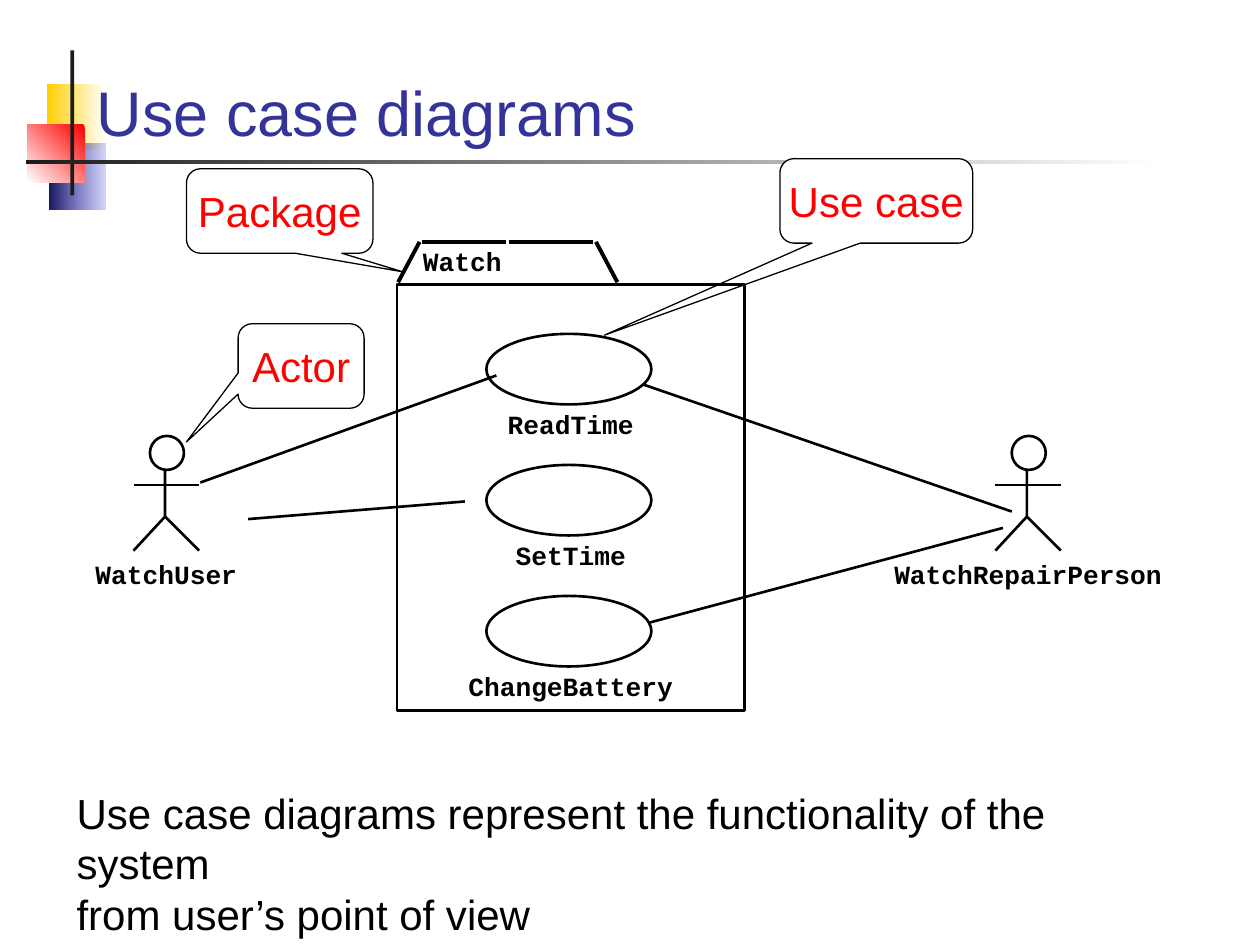
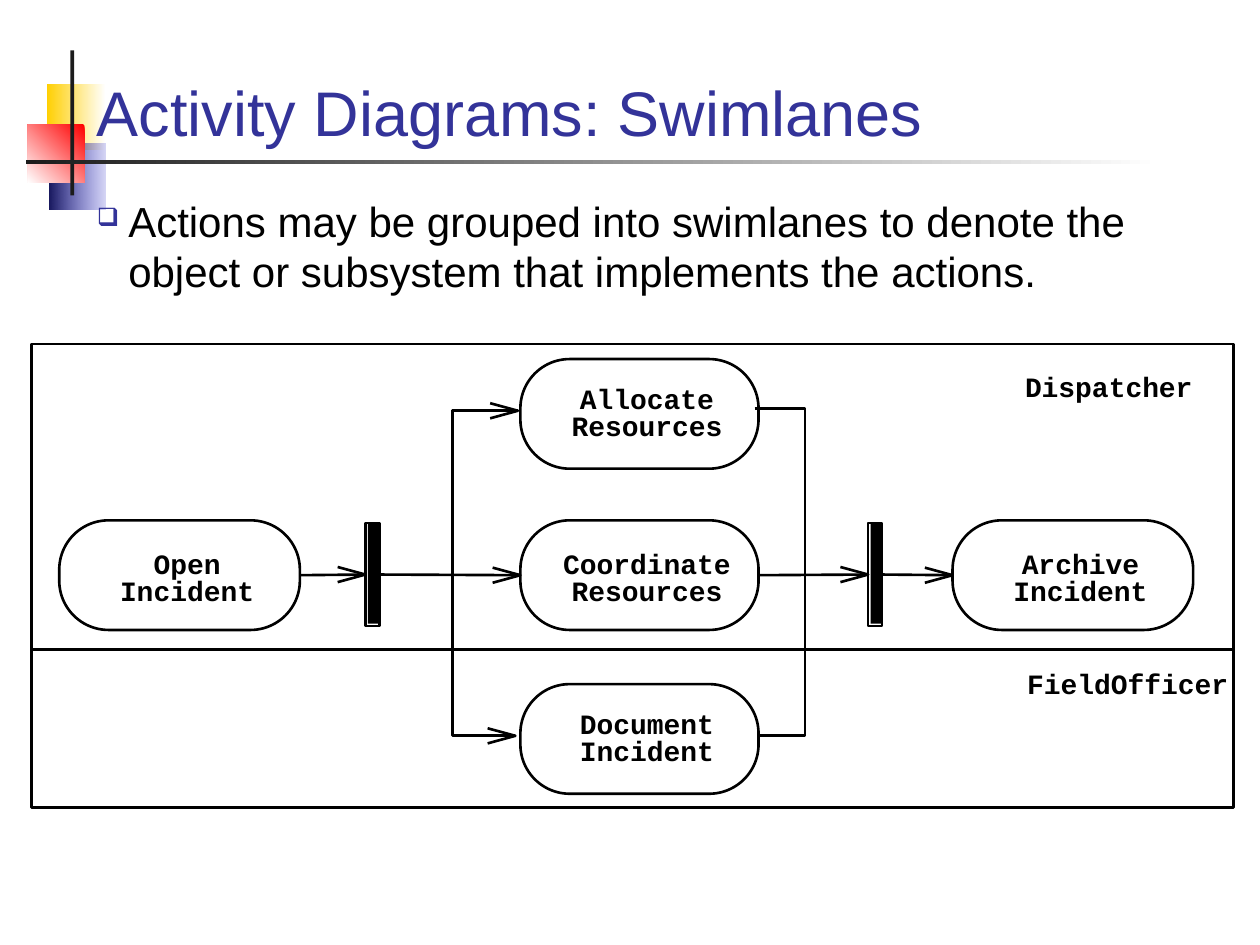
import pptx
import pptx.util
import pptx.dml.color
import pptx.enum.shapes
import pptx.enum.text
import pptx.oxml
import pptx.oxml.ns

Inches = pptx.util.Inches
Pt = pptx.util.Pt
RGBColor = pptx.dml.color.RGBColor
SHAPE = pptx.enum.shapes.MSO_SHAPE
ANCHOR = pptx.enum.text.MSO_ANCHOR
ALIGN = pptx.enum.text.PP_ALIGN
qn = pptx.oxml.ns.qn

BLACK = RGBColor(0x00, 0x00, 0x00)
WHITE = RGBColor(0xFF, 0xFF, 0xFF)
RED = RGBColor(0xFF, 0x00, 0x00)
YELLOW = RGBColor(0xFF, 0xCF, 0x01)
BLUE = RGBColor(0x33, 0x33, 0xCC)
NAVY = RGBColor(0x17, 0x17, 0x5E)
CHARCOAL = RGBColor(0x1C, 0x1C, 0x1C)
INDIGO = RGBColor(0x33, 0x33, 0x99)
SANS = "Arial"
MONO = "Courier New"


class Slides:
    def __init__(self):
        self.deck = pptx.Presentation()
        self.deck.slide_width = Inches(10)
        self.deck.slide_height = Inches(7.5)
        self.page = None

    def new_page(self, title):
        self.page = self.deck.slides.add_slide(self.deck.slide_layouts[6])
        self.gradient(0.37, 0.67, 0.47, 0.52, WHITE, YELLOW)
        blue_square = self.gradient(0.39, 1.14, 0.45, 0.52, BLUE, NAVY)
        start_color = next(blue_square._element.spPr.iter(qn("a:srgbClr")))
        start_color.append(self.element("alpha", val="20000"))
        self.gradient(0.22, 0.99, 0.45, 0.46, RED, WHITE, 225)
        self.shape(SHAPE.RECTANGLE, 0.56, 0.4, 0.03, 1.15, CHARCOAL, 0)
        self.gradient(0.21, 1.27, 9, 0.03, WHITE, CHARCOAL)
        self.text([title], 0.67, 0.28, 8.66, 0.95, 36, INDIGO, anchor=ANCHOR.BOTTOM)

    def element(self, tag, **attributes):
        node = pptx.oxml.parse_xml(
            f'<a:{tag} xmlns:a="http://schemas.openxmlformats.org/drawingml/2006/main"/>')
        for name, value in attributes.items():
            node.set(name, value)
        return node

    def stroke(self, item, weight):
        if weight:
            item.line.color.rgb = BLACK
            item.line.width = Pt(weight)
        else:
            item.line.fill.background()

    def shape(self, kind, left, top, width, height, fill=None, weight=1.5):
        box = self.page.shapes.add_shape(
            kind, Inches(left), Inches(top), Inches(width), Inches(height))
        box.shadow.inherit = False
        if fill is None:
            box.fill.background()
        else:
            box.fill.solid()
            box.fill.fore_color.rgb = fill
        self.stroke(box, weight)
        return box

    def gradient(self, left, top, width, height, start, end, angle=180):
        box = self.shape(SHAPE.RECTANGLE, left, top, width, height, weight=0)
        box.fill.gradient()
        box.fill.gradient_angle = angle
        for stop, color in zip(box.fill.gradient_stops, (start, end)):
            stop.color.rgb = color
        return box

    def add_span(self, para, words, size, color, font, bold=False):
        span = para.add_run()
        span.text = words
        span.font.size = Pt(size)
        span.font.name = font
        span.font.bold = bold
        span.font.color.rgb = color

    def text(self, lines, left, top, width, height, size, color=BLACK,
             wrap=True, anchor=ANCHOR.TOP):
        box = self.page.shapes.add_textbox(
            Inches(left), Inches(top), Inches(width), Inches(height))
        frame = box.text_frame
        frame.word_wrap = wrap
        frame.vertical_anchor = anchor
        for index, words in enumerate(lines):
            para = frame.add_paragraph() if index else frame.paragraphs[0]
            self.add_span(para, words, size, color, SANS)
        return box

    def bullet(self, words, left, top, width, height):
        box = self.text([words], left, top, width, height, 24)
        settings = box.text_frame.paragraphs[0]._p.get_or_add_pPr()
        settings.set("marL", str(Inches(0.25)))
        settings.set("indent", str(Inches(-0.25)))
        mark_color = self.element("buClr")
        mark_color.append(self.element("srgbClr", val=str(INDIGO)))
        settings.append(mark_color)
        settings.append(self.element("buSzPct", val="60000"))
        settings.append(self.element("buChar", char="❑"))

    def label(self, words, center, top, size):
        width = len(words) * size * 0.6 / 72
        box = self.page.shapes.add_textbox(
            Inches(center - width / 2), Inches(top), Inches(width), Inches(size / 60))
        frame = box.text_frame
        frame.word_wrap = False
        frame.margin_left = frame.margin_right = 0
        frame.margin_top = frame.margin_bottom = 0
        para = frame.paragraphs[0]
        para.alignment = ALIGN.CENTER
        self.add_span(para, words, size, BLACK, MONO, True)

    def line(self, start, end, weight=1.5):
        link = self.page.shapes.add_connector(
            pptx.enum.shapes.MSO_CONNECTOR.STRAIGHT,
            *(Inches(value) for value in start + end))
        self.stroke(link, weight)
        link._element.spPr.append(self.element("effectLst"))
        return link

    def polyline(self, *points):
        first, *rest = [(Inches(x), Inches(y)) for x, y in points]
        builder = self.page.shapes.build_freeform(*first)
        builder.add_line_segments(rest, close=False)
        outline = builder.convert_to_shape()
        outline.shadow.inherit = False
        outline.fill.background()
        self.stroke(outline, 1.5)

    def arrowhead(self, x, y):
        self.polyline((x - 0.22, y - 0.06), (x, y), (x - 0.22, y + 0.06))

    def flow(self, source, target):
        link = self.line((0, 0), (1, 1))
        link.begin_connect(source, 3)
        link.end_connect(target, 1)
        self.arrowhead(link.end_x / Inches(1), link.end_y / Inches(1))

    def actor(self, name, left):
        neck = left + 0.25
        self.polyline((neck, 3.65), (neck, 4.1), (left, 4.37))
        self.line((neck, 4.1), (left + 0.52, 4.37))
        self.line((left, 3.85), (left + 0.52, 3.85))
        self.shape(SHAPE.OVAL, left + 0.13, 3.46, 0.27, 0.27, WHITE)
        self.label(name, left + 0.26, 4.43, 15)

    def use_case(self, name, top):
        self.shape(SHAPE.OVAL, 3.86, top, 1.31, 0.56)
        self.label(name, 4.53, top + 0.59, 15)

    def callout(self, words, left, top, width, tip_x, tip_y):
        box = self.shape(SHAPE.ROUNDED_RECTANGULAR_CALLOUT,
                         left, top, width, 0.67, WHITE, 0.75)
        box.adjustments[0] = tip_x
        box.adjustments[1] = tip_y
        frame = box.text_frame
        frame.word_wrap = False
        frame.vertical_anchor = ANCHOR.MIDDLE
        para = frame.paragraphs[0]
        para.alignment = ALIGN.CENTER
        self.add_span(para, words, 24, RED, SANS)

    def action(self, name, left, top, width, text_top):
        box = self.shape(SHAPE.ROUNDED_RECTANGLE, left, top, width, 0.87)
        box.adjustments[0] = 0.45
        for index, words in enumerate(name.split()):
            self.label(words, left + width / 2 + 0.06, text_top + index * 0.21, 16)
        return box

    def sync_bar(self, left):
        self.shape(SHAPE.RECTANGLE, left + 0.02, 4.15, 0.09, 0.8, BLACK, 0)
        return self.shape(SHAPE.RECTANGLE, left, 4.15, 0.11, 0.82)


def use_case_page(slides):
    slides.new_page("Use case diagrams")
    slides.actor("WatchUser", 1.06)
    slides.actor("WatchRepairPerson", 7.9)
    for index, name in enumerate(("ReadTime", "SetTime", "ChangeBattery")):
        slides.use_case(name, 2.65 + index * 1.04)
    for start, end in (((1.59, 3.83), (3.94, 2.98)), ((1.97, 4.12), (3.69, 3.98)),
                       ((5.16, 4.94), (7.96, 4.19)), ((5.1, 3.05), (8.03, 4.06))):
        slides.line(start, end)
    slides.callout("Actor", 1.89, 2.57, 1, -0.91, 0.9)
    slides.callout("Use case", 6.19, 1.26, 1.53, -1.41, 1.59)
    slides.callout("Package", 1.48, 1.34, 1.48, 0.66, 0.72)
    slides.shape(SHAPE.RECTANGLE, 3.15, 2.26, 2.76, 3.38)
    for start, end in (((3.16, 2.24), (3.33, 1.92)), ((3.35, 1.92), (4.02, 1.92)),
                       ((4.9, 2.24), (4.73, 1.92)), ((4.71, 1.92), (4.04, 1.92))):
        slides.line(start, end, 2.25)
    slides.label("Watch", 3.67, 1.95, 15)
    slides.text(["Use case diagrams represent the functionality of the system",
                 "from user’s point of view"], 0.51, 6.2, 9.03, 0.9, 24, wrap=False)


def swimlane_page(slides):
    slides.new_page("Activity Diagrams: Swimlanes")
    slides.bullet("Actions may be grouped into swimlanes to denote the object or "
                  "subsystem that implements the actions.", 0.67, 1.5, 8.66, 4.88)
    open_incident = slides.action("Open Incident", 0.47, 4.13, 1.91, 4.34)
    slides.action("Allocate Resources", 4.13, 2.85, 1.89, 3.03)
    coordinate = slides.action("Coordinate Resources", 4.13, 4.13, 1.89, 4.34)
    slides.action("Document Incident", 4.13, 5.43, 1.89, 5.61)
    archive = slides.action("Archive Incident", 7.56, 4.13, 1.91, 4.34)
    fork = slides.sync_bar(2.9)
    join = slides.sync_bar(6.89)
    steps = (open_incident, fork, coordinate, join, archive)
    for source, target in zip(steps, steps[1:]):
        slides.flow(source, target)
    slides.polyline((4.11, 3.26), (3.59, 3.26), (3.59, 5.84), (4.09, 5.84))
    slides.arrowhead(4.11, 3.26)
    slides.arrowhead(4.09, 5.84)
    slides.polyline((5.99, 3.24), (6.39, 3.24), (6.39, 5.84), (6.02, 5.84))
    slides.shape(SHAPE.RECTANGLE, 0.25, 2.73, 9.54, 2.43)
    slides.shape(SHAPE.RECTANGLE, 0.25, 5.15, 9.54, 1.26)
    slides.label("Dispatcher", 8.8, 2.93, 16)
    slides.label("FieldOfficer", 8.95, 5.29, 16)


def main():
    slides = Slides()
    use_case_page(slides)
    swimlane_page(slides)
    slides.deck.save("out.pptx")


if __name__ == "__main__":
    main()
